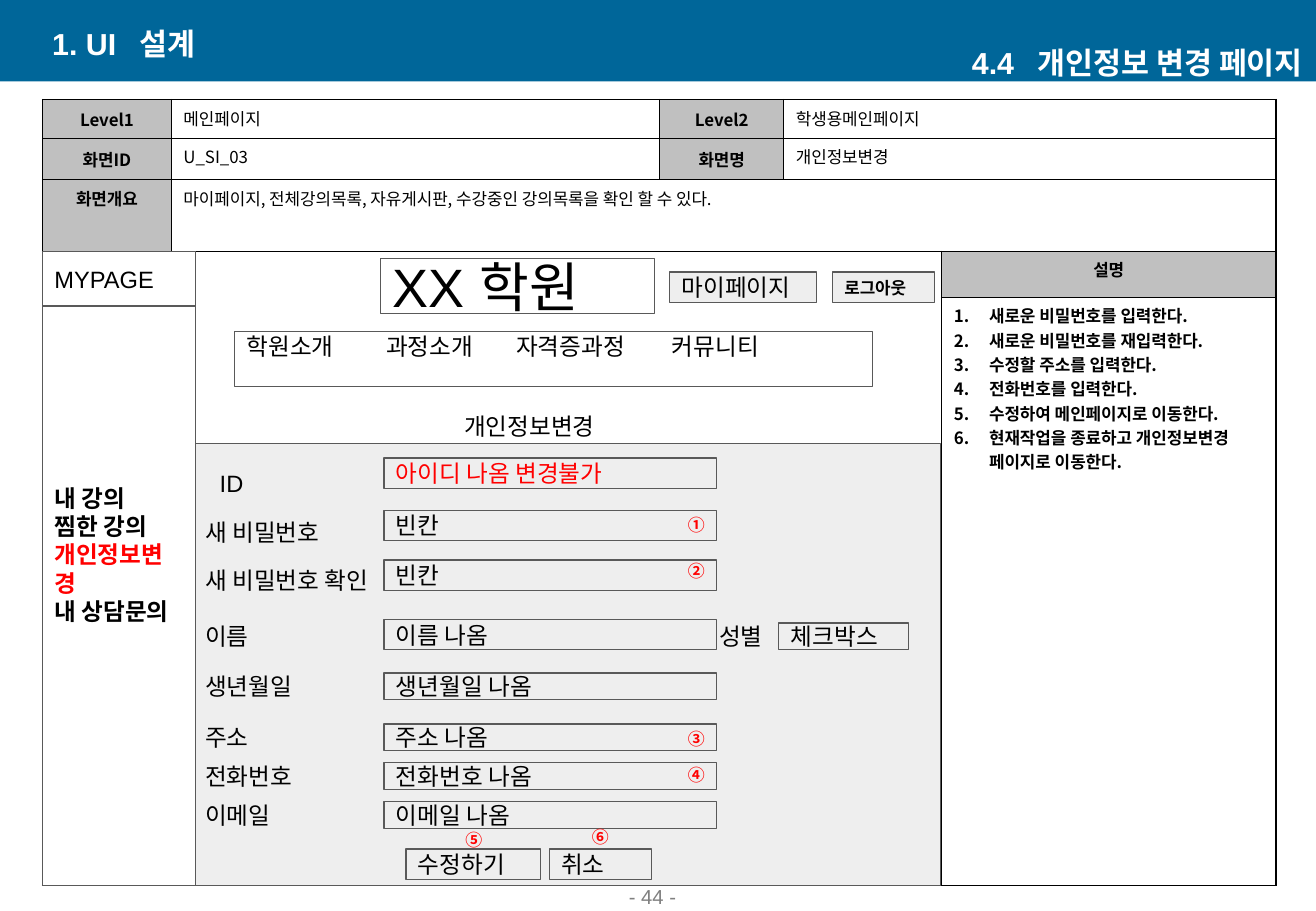
from dataclasses import dataclass

from lxml.etree import SubElement
from pptx import Presentation
from pptx.dml.color import RGBColor
from pptx.enum.shapes import MSO_SHAPE
from pptx.enum.text import MSO_ANCHOR, MSO_AUTO_SIZE, PP_ALIGN
from pptx.oxml import parse_xml
from pptx.oxml.ns import nsdecls, qn
from pptx.util import Inches, Pt

BLUE = RGBColor(0x00, 0x66, 0x99)
WHITE = RGBColor(0xFF, 0xFF, 0xFF)
BLACK = RGBColor(0x00, 0x00, 0x00)
RED = RGBColor(0xFF, 0x00, 0x00)
GRAY = RGBColor(0x80, 0x80, 0x80)
HEADING_FILL = RGBColor(0xC0, 0xC0, 0xC0)
PANEL_FILL = RGBColor(0xEE, 0xEE, 0xEE)
OUTLINE = RGBColor(0x59, 0x59, 0x59)
LATIN, KOREAN = "Arial", "Noto Sans CJK KR"

GRID = Inches(0.1)
COLUMNS, ROWS = 108.3, 75

BODY = {"name": LATIN, "size": Pt(14), "bold": False}
STRONG = {**BODY, "bold": True}
HEADLINE = {**STRONG, "size": Pt(18)}
CELL = {"name": KOREAN, "size": Pt(10), "bold": False}
CELL_STRONG = {**CELL, "bold": True}

FIELDS = [
    ("새 비밀번호", 5.1, "빈칸", 5.5, 2.5, "①", 5.4),
    ("새 비밀번호 확인", 9.1, "빈칸", 9.6, 2.5, "②", 9.2),
    ("이름", 13.7, "이름 나옴", 14.5, 2.5, "", 0),
    ("생년월일", 17.8, "생년월일 나옴", 18.9, 2.2, "", 0),
    ("주소", 22, "주소 나옴", 23.1, 2.2, "③", 23),
    ("전화번호", 25.2, "전화번호 나옴", 26.3, 2.2, "④", 26),
    ("이메일", 28.4, "이메일 나옴", 29.5, 2.2, "", 0),
]
BUTTONS = [("수정하기", 17.3, 11.1, "⑤", 21.2, 31.3),
           ("취소", 29.1, 8.4, "⑥", 31.6, 31.1)]
STEPS = ["새로운 비밀번호를 입력한다.", "새로운 비밀번호를 재입력한다.",
         "수정할 주소를 입력한다.", "전화번호를 입력한다.",
         "수정하여 메인페이지로 이동한다.",
         "현재작업을 종료하고 개인정보변경 페이지로 이동한다."]


@dataclass
class Box:
    """A rectangle in grid units."""
    left: float
    top: float
    width: float
    height: float

    def inner(self, left, top, width, height):
        """Return a box placed relative to this one."""
        return Box(self.left + left, self.top + top, width, height)

    def lengths(self):
        """Return the box as slide lengths."""
        return [round(value * GRID) for value in
                (self.left, self.top, self.width, self.height)]


def write_paragraph(paragraph, text, style, color=BLACK, align=PP_ALIGN.LEFT, tabs=()):
    """Fill a paragraph with one formatted run."""
    paragraph.alignment = align
    if tabs:
        tab_list = SubElement(paragraph._p.get_or_add_pPr(), qn("a:tabLst"))
        for position in tabs:
            SubElement(tab_list, qn("a:tab"), pos=str(round(position * GRID)), algn="l")
    run = paragraph.add_run()
    run.text = text
    for name, value in style.items():
        setattr(run.font, name, value)
    run.font.color.rgb = color
    SubElement(run._r.get_or_add_rPr(), qn("a:ea"), typeface=KOREAN)


def format_frame(frame, anchor, top=0, bottom=0):
    """Set wrapping, anchor and insets of a text frame."""
    settings = {"word_wrap": True, "auto_size": MSO_AUTO_SIZE.NONE,
                "vertical_anchor": anchor, "margin_left": GRID, "margin_right": GRID,
                "margin_top": round(top * GRID), "margin_bottom": round(bottom * GRID)}
    for name, value in settings.items():
        setattr(frame, name, value)


def add_label(slide, box, text, style=BODY, color=BLACK, align=PP_ALIGN.LEFT,
              anchor=MSO_ANCHOR.TOP, inset=1, tabs=()):
    """Add a text box with one paragraph."""
    frame = slide.shapes.add_textbox(*box.lengths()).text_frame
    format_frame(frame, anchor, inset, inset)
    write_paragraph(frame.paragraphs[0], text, style, color, align, tabs)


def add_badge(slide, box, number):
    """Add a red circled number."""
    add_label(slide, box, number, CELL_STRONG, RED, PP_ALIGN.CENTER, inset=0.5)


def add_panel(slide, box, fill=PANEL_FILL, line=OUTLINE, lines=(), style=BODY,
              anchor=MSO_ANCHOR.MIDDLE, bottom=0, tabs=()):
    """Add a rectangle holding lines of text and colour."""
    shape = slide.shapes.add_shape(MSO_SHAPE.RECTANGLE, *box.lengths())
    shape.shadow.inherit = False
    shape.fill.solid()
    shape.fill.fore_color.rgb = fill
    if line is None:
        shape.line.fill.background()
    else:
        shape.line.color.rgb = line
        shape.line.width = Pt(0.75)
    frame = shape.text_frame
    format_frame(frame, anchor, bottom=bottom)
    for index, (text, color) in enumerate(lines):
        paragraph = frame.add_paragraph() if index else frame.paragraphs[0]
        write_paragraph(paragraph, text, style, color, tabs=tabs)
    return shape


def build_header(slide, box):
    """Place the blue band, the title and the page name."""
    title = slide.shapes.title
    title.element.addprevious(add_panel(slide, box, BLUE, None).element)
    title.left, title.top, title.width, title.height = box.inner(3.3, 1.9, 43.8, 3.3).lengths()
    format_frame(title.text_frame, MSO_ANCHOR.MIDDLE)
    write_paragraph(title.text_frame.paragraphs[0], "1. UI\t설계", HEADLINE, WHITE, tabs=[7.2])
    add_label(slide, box.inner(79, 3.5, 29.3, 3.3), "4.4\t개인정보 변경 페이지", HEADLINE,
              WHITE, anchor=MSO_ANCHOR.MIDDLE, inset=0, tabs=[5.4])


def format_cell(cell):
    """Clear the fill of a cell and draw its black borders."""
    cell.fill.background()
    properties = cell._tc.get_or_add_tcPr()
    for index, side in enumerate("LRTB"):
        properties.insert(index, parse_xml(
            f'<a:ln{side} {nsdecls("a")} w="12700"><a:solidFill>'
            f'<a:srgbClr val="{BLACK}"/></a:solidFill></a:ln{side}>'))


def build_table(slide, box):
    """Place the screen description table."""
    widths = [10.6, 40.2, 10.2, 13, 27.5]
    heights = [3.2, 3.4, 5.9, 3.8, 48.4]
    table = slide.shapes.add_table(len(heights), len(widths), *box.lengths()).table
    table.first_row = table.horz_banding = False
    for column, width in zip(table.columns, widths):
        column.width = round(width * GRID)
    for row, height in zip(table.rows, heights):
        row.height = round(height * GRID)
    for cell in table.iter_cells():
        format_cell(cell)
    for first, last in [((0, 3), (0, 4)), ((1, 3), (1, 4)), ((2, 1), (2, 4)), ((3, 0), (4, 3))]:
        table.cell(*first).merge(table.cell(*last))
    headings = {(0, 0): "Level1", (0, 2): "Level2", (1, 0): "화면ID", (1, 2): "화면명",
                (2, 0): "화면개요", (3, 4): "설명"}
    values = {(0, 1): "메인페이지", (0, 3): "학생용메인페이지", (1, 1): "U_SI_03",
              (1, 3): "개인정보변경",
              (2, 1): "마이페이지, 전체강의목록, 자유게시판, 수강중인 강의목록을 확인 할 수 있다."}
    for place, text in headings.items():
        cell = table.cell(*place)
        cell.fill.solid()
        cell.fill.fore_color.rgb = HEADING_FILL
        cell.vertical_anchor = MSO_ANCHOR.MIDDLE if place[0] < 2 else MSO_ANCHOR.TOP
        write_paragraph(cell.text_frame.paragraphs[0], text, CELL_STRONG, align=PP_ALIGN.CENTER)
    for place, text in values.items():
        write_paragraph(table.cell(*place).text_frame.paragraphs[0], text, CELL)
    frame = table.cell(4, 4).text_frame
    for index, text in enumerate(STEPS):
        paragraph = frame.add_paragraph() if index else frame.paragraphs[0]
        properties = paragraph._p.get_or_add_pPr()
        properties.set("marL", str(Inches(0.29)))
        properties.set("indent", str(-Inches(0.29)))
        SubElement(properties, qn("a:buAutoNum"), type="arabicPeriod")
        write_paragraph(paragraph, text, CELL_STRONG)


def build_sidebar(slide, box):
    """Place the my-page menu."""
    menu = [("내 강의", BLACK), ("찜한 강의", BLACK), ("개인정보변경", RED), ("내 상담문의", BLACK)]
    add_panel(slide, box, WHITE, lines=menu, style=STRONG, bottom=2.3)
    add_panel(slide, box.inner(0, 0, box.width, 4.5), WHITE, lines=[("MYPAGE", BLACK)])


def build_site_header(slide, box):
    """Place the site name, account buttons, navigation and heading."""
    add_panel(slide, box.inner(15.2, 0.6, 22.6, 4.5), WHITE, lines=[("XX 학원", BLACK)],
              style={**BODY, "size": Pt(32)})
    add_panel(slide, box.inner(39, 1.7, 12.1, 2.5), lines=[("마이페이지", BLACK)])
    add_panel(slide, box.inner(52.4, 1.7, 8.4, 2.5), lines=[("로그아웃", BLACK)],
              style={**STRONG, "size": Pt(10)})
    add_panel(slide, box.inner(3.2, 6.6, 52.5, 4.5), WHITE,
              lines=[("학원소개\t과정소개\t자격증과정\t커뮤니티", BLACK)],
              anchor=MSO_ANCHOR.TOP, tabs=[11.5, 22.2, 35])
    add_label(slide, box.inner(21.1, 12.2, 13.9, 4.4), "개인정보변경")


def build_form(slide, box):
    """Place the personal information form."""
    add_panel(slide, box)
    add_label(slide, box.inner(1, 1.1, 10.1, 4.4), "ID")
    add_panel(slide, box.inner(15.5, 1.2, 27.4, 2.5), lines=[("아이디 나옴 변경불가", RED)])
    for label, label_top, value, top, height, number, number_top in FIELDS:
        add_label(slide, box.inner(-0.2, label_top, 17.9, 4.4), label)
        add_panel(slide, box.inner(15.5, top, 27.4, height), lines=[(value, BLACK)])
        if number:
            add_badge(slide, box.inner(39.5, number_top, 3.4, 2.7), number)
    add_label(slide, box.inner(42.1, 13.7, 12.5, 4.4), "성별")
    add_panel(slide, box.inner(48, 14.8, 10.7, 2.2), lines=[("체크박스", BLACK)])
    for text, left, width, number, number_left, number_top in BUTTONS:
        add_panel(slide, box.inner(left, 33.4, width, 2.5), lines=[(text, BLACK)])
        add_badge(slide, box.inner(number_left, number_top, 3.4, 2.7), number)


def main():
    """Build the slide and save it."""
    presentation = Presentation()
    presentation.slide_width = round(COLUMNS * GRID)
    presentation.slide_height = ROWS * GRID
    slide = presentation.slides.add_slide(presentation.slide_layouts[5])
    build_header(slide, Box(0, 0, COLUMNS, 6.7))
    build_table(slide, Box(3.5, 8.2, 101.5, 64.7))
    build_sidebar(slide, Box(3.5, 20.7, 12.6, 52.2))
    build_site_header(slide, Box(16.1, 20.7, 61.3, 15.8))
    build_form(slide, Box(16.1, 36.5, 61.3, 36.4))
    add_label(slide, Box(42.4, 73, 22.6, 2.3), "- 44 -", {**BODY, "size": Pt(12)}, GRAY,
              PP_ALIGN.CENTER, MSO_ANCHOR.BOTTOM, 0.5)
    presentation.save("out.pptx")


if __name__ == "__main__":
    main()
